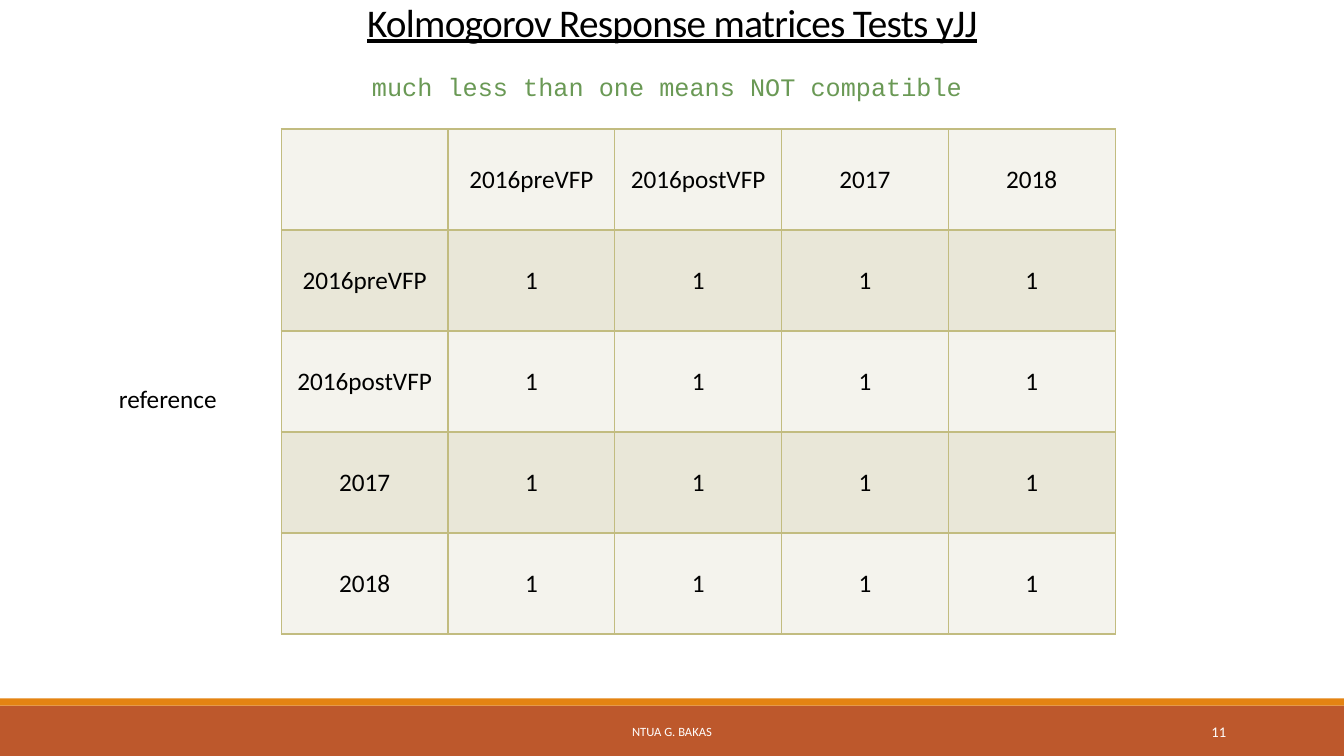
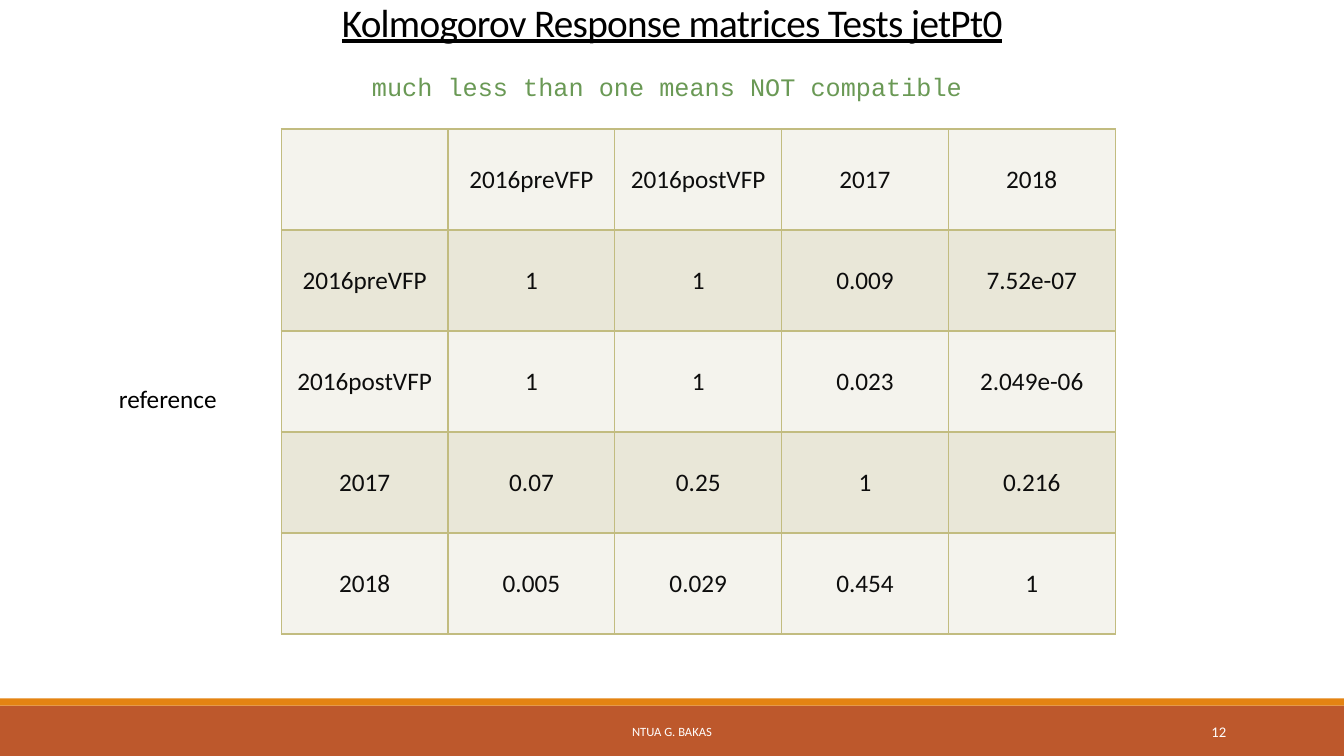
from lxml import etree
from pptx import Presentation
from pptx.dml.color import RGBColor
from pptx.enum import shapes, text
from pptx.oxml.ns import qn
from pptx.util import Inches, Pt

COLORS = {
    "rust": "BD582C",
    "orange": "E48312",
    "white": "FFFFFF",
    "black": "000000",
    "soft_black": "0D0D0D",
    "green": "6A9955",
    "grid": "C2BC80",
    "light_row": "F4F3ED",
    "dark_row": "E9E7D8",
}
BODY_FONT = "Calibri"
CODE_FONT = "Courier New"
SLIDE_BOX = (0, 0, 13.33, 7.5)
TABLE_BOX = (2.79, 1.28, 8.27, 5.01)
CENTER = text.PP_ALIGN.CENTER
MIDDLE = text.MSO_ANCHOR.MIDDLE

YEARS = ["2016preVFP", "2016postVFP", "2017", "2018"]
TESTS = [
    ("yJJ", "11", "black", [["1"] * 4] * 4),
    ("jetPt0", "12", "soft_black", [
        ["1", "1", "0.009", "7.52e-07"],
        ["1", "1", "0.023", "2.049e-06"],
        ["0.07", "0.25", "1", "0.216"],
        ["0.005", "0.029", "0.454", "1"],
    ]),
]


def rgb(name):
    return RGBColor.from_string(COLORS[name])


def style(paragraph, size, color, align=CENTER, font=BODY_FONT):
    paragraph.alignment = align
    for run in paragraph.runs:
        run.font.size = Pt(size)
        run.font.name = font
        run.font.color.rgb = rgb(color)


def add_label(slide, box, words, size, color, align=CENTER, font=BODY_FONT,
              anchor=text.MSO_ANCHOR.TOP, wrap=True):
    frame = slide.shapes.add_textbox(*map(Inches, box)).text_frame
    frame.text = words
    frame.word_wrap = wrap
    frame.vertical_anchor = anchor
    style(frame.paragraphs[0], size, color, align, font)
    return frame


def add_band(slide, box, color):
    band = slide.shapes.add_shape(shapes.MSO_SHAPE.RECTANGLE, *map(Inches, box))
    band.shadow.inherit = False
    band.fill.solid()
    band.fill.fore_color.rgb = rgb(color)
    band.line.fill.background()


def add_footer(slide, box, number):
    left, top, width, height = box
    base = top + height - 0.5
    add_band(slide, (left, base, width, 0.5), "rust")
    add_band(slide, (left, base - 0.07, width, 0.07), "orange")
    add_label(slide, (left + 4.03, base + 0.06, 5.27, 0.4), "NTUA G. BAKAS",
              9, "white", anchor=MIDDLE)
    add_label(slide, (left + 10.83, base + 0.06, 1.43, 0.4), number,
              10.5, "white", text.PP_ALIGN.RIGHT, anchor=MIDDLE)


def add_heading(slide, box, variable):
    left, top, width, _ = box
    title = add_label(slide, (left + 0.91, top - 0.03, width - 1.82, 0.53),
                      f"Kolmogorov Response matrices Tests {variable}",
                      28, "black", anchor=text.MSO_ANCHOR.BOTTOM)
    line = title.paragraphs[0]
    line.line_spacing = 0.85
    line.runs[0].font.underline = True
    line.runs[0].font._element.set("spc", "-50")
    hint = add_label(slide, (left + 3.59, top + 0.66, 6.15, 0.4),
                     "much less than one means NOT compatible", 18, "green",
                     text.PP_ALIGN.LEFT, CODE_FONT, wrap=False)
    hint.auto_size = text.MSO_AUTO_SIZE.SHAPE_TO_FIT_TEXT


def add_borders(cell):
    properties = cell._tc.get_or_add_tcPr()
    for side in ("a:lnL", "a:lnR", "a:lnT", "a:lnB"):
        border = etree.SubElement(properties, qn(side), w=str(Pt(1)))
        fill = etree.SubElement(border, qn("a:solidFill"))
        etree.SubElement(fill, qn("a:srgbClr"), val=COLORS["grid"])


def add_matrix(slide, box, values, color):
    left, top, width, height = box
    rows = [["", *YEARS]] + [[year, *row] for year, row in zip(YEARS, values)]
    count = len(rows)
    table = slide.shapes.add_table(count, count, *map(Inches, box)).table
    for column in table.columns:
        column.width = Inches(width / count)
    for index, row in enumerate(rows):
        table.rows[index].height = Inches(height / count)
        for position, value in enumerate(row):
            cell = table.cell(index, position)
            add_borders(cell)
            cell.fill.solid()
            cell.fill.fore_color.rgb = rgb("dark_row" if index % 2 else "light_row")
            cell.vertical_anchor = MIDDLE
            cell.text = value
            style(cell.text_frame.paragraphs[0], 18, color)
    reference = add_label(slide, (left - 2.06, top + 2.47, 1.87, 0.4),
                          "reference", 18, "black")
    reference.auto_size = text.MSO_AUTO_SIZE.SHAPE_TO_FIT_TEXT


def add_test_slide(deck, variable, number, color, values):
    slide = deck.slides.add_slide(deck.slide_layouts[6])
    add_footer(slide, SLIDE_BOX, number)
    add_heading(slide, SLIDE_BOX, variable)
    add_matrix(slide, TABLE_BOX, values, color)


def main():
    deck = Presentation()
    deck.slide_width = Inches(SLIDE_BOX[2])
    deck.slide_height = Inches(SLIDE_BOX[3])
    for variable, number, color, values in TESTS:
        add_test_slide(deck, variable, number, color, values)
    deck.save("out.pptx")


if __name__ == "__main__":
    main()
